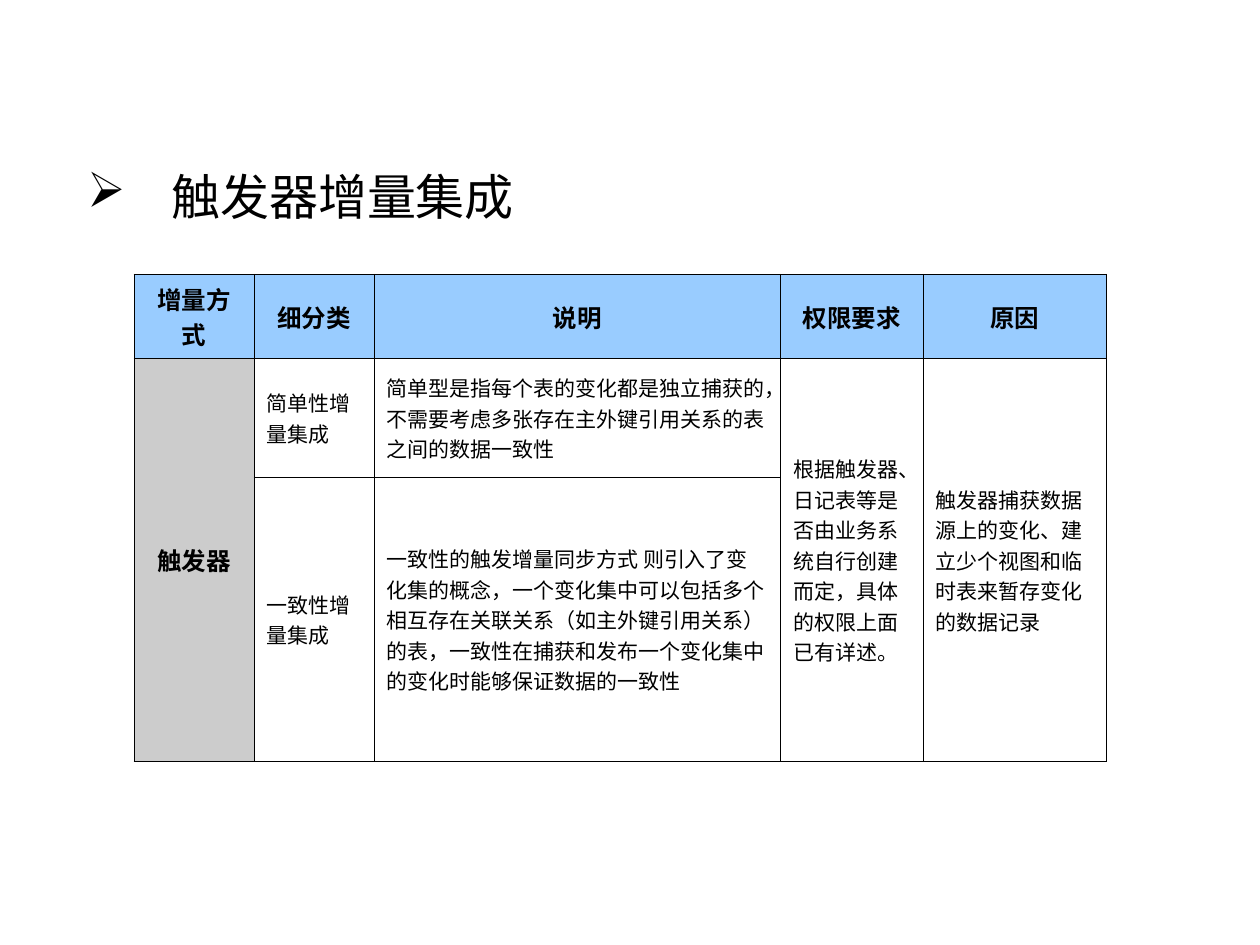
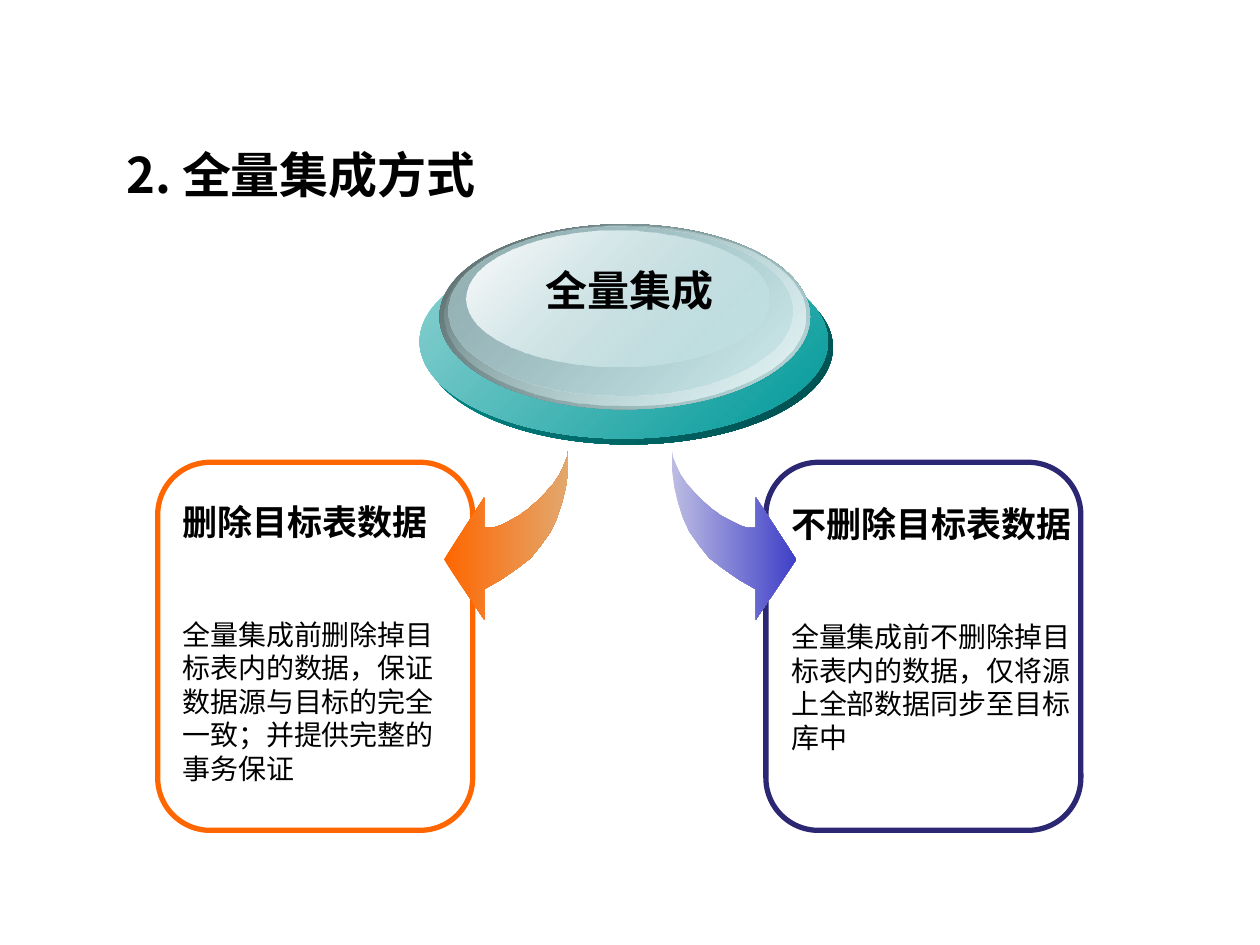
"""Build two slides on trigger-based incremental and full data integration."""
from lxml.etree import SubElement
from pptx import Presentation
from pptx.dml.color import RGBColor
from pptx.enum.shapes import MSO_SHAPE as Shape
from pptx.enum.text import MSO_ANCHOR as Anchor, PP_ALIGN as Align
from pptx.oxml.ns import qn
from pptx.util import Cm, Pt

BLACK = RGBColor(0x00, 0x00, 0x00)
WHITE = RGBColor(0xFF, 0xFF, 0xFF)
HEADER_BLUE = RGBColor(0x99, 0xCC, 0xFF)
METHOD_GRAY = RGBColor(0xCC, 0xCC, 0xCC)
ORANGE = RGBColor(0xFF, 0x66, 0x00)
SAND = RGBColor(0xE2, 0xA8, 0x6E)
NAVY = RGBColor(0x2B, 0x27, 0x73)
BLUE = RGBColor(0x40, 0x40, 0xC8)
LAVENDER = RGBColor(0xBC, 0xBC, 0xE2)
TEAL = RGBColor(0x00, 0x99, 0x99)
DARK_TEAL = RGBColor(0x00, 0x4A, 0x4A)
LIGHT_TEAL = RGBColor(0x8E, 0xD2, 0xD2)
SLATE = RGBColor(0x57, 0x68, 0x69)
MIST = RGBColor(0xBB, 0xE0, 0xE3)
PALE_MIST = RGBColor(0xE7, 0xF4, 0xF5)
GRAY_MIST = RGBColor(0x94, 0xB1, 0xB4)

CJK_FONT = "Noto Sans CJK SC"
TITLE_ONLY = 5
DIAGONAL = 315

COLUMN_WIDTHS = (2.42, 2.42, 8.2, 2.87, 3.7)
ROW_HEIGHTS = (1.68, 2.4, 5.73)
TRIGGER_ROWS = (
    ("增量方式", "细分类", "说明", "权限要求", "原因"),
    (
        "触发器",
        "简单性增量集成",
        "简单型是指每个表的变化都是独立捕获的，不需要考虑多张存在主外键引用关系的表之间的数据一致性",
        "根据触发器、日记表等是否由业务系统自行创建而定，具体的权限上面已有详述。",
        "触发器捕获数据源上的变化、建立少个视图和临时表来暂存变化的数据记录",
    ),
    (
        "",
        "一致性增量集成",
        "一致性的触发增量同步方式 则引入了变化集的概念，一个变化集中可以包括多个"
        "相互存在关联关系（如主外键引用关系）的表，一致性在捕获和发布一个变化集中"
        "的变化时能够保证数据的一致性",
        "",
        "",
    ),
)
SPANNING_COLUMNS = (0, 3, 4)

DISC_LAYERS = (
    ((8.56, 5.05, 8.23, 3.91), (TEAL, 100), (DARK_TEAL, 100)),
    ((8.46, 4.93, 8.23, 3.91), (LIGHT_TEAL, 100), (TEAL, 100)),
    ((8.86, 4.52, 7.47, 3.73), (SLATE, 100), (MIST, 100)),
    ((8.97, 4.55, 7.26, 3.63), (MIST, 0), (PALE_MIST, 100)),
    ((9.04, 4.57, 6.93, 3.4), (GRAY_MIST, 100), (MIST, 48)),
    ((9.4, 4.65, 6.1, 2.74), (WHITE, 100), (MIST, 38)),
)

ARROW_OUTLINE = (
    (0, 0.38), (0.05, 0.76), (0.13, 1.09), (0.23, 1.4), (0.36, 1.68),
    (0.56, 1.96), (0.76, 2.21), (1.02, 2.41), (1.35, 2.64), (1.7, 2.84),
    (1.7, 3.45), (2.51, 2.24), (1.7, 0.99), (1.7, 1.6), (1.52, 1.6),
    (1.37, 1.55), (1.17, 1.45), (0.99, 1.35), (0.81, 1.22), (0.64, 1.07),
    (0.46, 0.89), (0.3, 0.71), (0.18, 0.53), (0.1, 0.36), (0.03, 0.18),
)


def cm_box(box):
    """Convert left, top, width and height to lengths."""
    return [Cm(value) for value in box]


def add_run(paragraph, text, size, font="Arial", bold=False):
    """Append one black run to a paragraph."""
    run = paragraph.add_run()
    run.text = text
    run.font.size = Pt(size)
    run.font.bold = bold
    run.font.name = font
    run.font.color.rgb = BLACK
    SubElement(run.font._element, qn("a:ea"), typeface=CJK_FONT)


def place_title(slide, box, anchor):
    """Position the title placeholder and return its paragraph."""
    title = slide.shapes.title
    title.left, title.top, title.width, title.height = cm_box(box)
    title.text_frame.word_wrap = True
    title.text_frame.vertical_anchor = anchor
    paragraph = title.text_frame.paragraphs[0]
    paragraph.alignment = Align.LEFT
    return paragraph


def add_arrow_bullet(paragraph):
    """Give a paragraph a hanging arrow bullet."""
    properties = paragraph._p.get_or_add_pPr()
    properties.set("marL", str(Cm(1.7)))
    properties.set("indent", str(Cm(-1.7)))
    color = SubElement(properties, qn("a:buClr"))
    SubElement(color, qn("a:srgbClr"), val=str(BLACK))
    SubElement(properties, qn("a:buChar"), char="➢")


def border_cell(cell):
    """Draw thin black lines on all four sides of a cell."""
    properties = cell._tc.get_or_add_tcPr()
    for position, side in enumerate(("lnL", "lnR", "lnT", "lnB")):
        line = SubElement(properties, qn(f"a:{side}"), w=str(Pt(0.45)))
        fill = SubElement(line, qn("a:solidFill"))
        SubElement(fill, qn("a:srgbClr"), val=str(BLACK))
        properties.insert(position, line)


def fill_cell(cell, text, color, heading):
    """Write and format one table cell."""
    cell.vertical_anchor = Anchor.MIDDLE
    if color:
        cell.fill.solid()
        cell.fill.fore_color.rgb = color
    else:
        cell.fill.background()
    border_cell(cell)
    if text:
        paragraph = cell.text_frame.paragraphs[0]
        paragraph.alignment = Align.CENTER if heading else Align.LEFT
        add_run(paragraph, text, 14 if heading else 12, "Times New Roman", heading)


def add_trigger_table(slide):
    """Add the table that compares trigger integration types."""
    box = (2.7, 5.53, sum(COLUMN_WIDTHS), sum(ROW_HEIGHTS))
    table = slide.shapes.add_table(
        len(ROW_HEIGHTS), len(COLUMN_WIDTHS), *cm_box(box)).table
    table.first_row = table.horz_banding = False
    for column, width in zip(table.columns, COLUMN_WIDTHS):
        column.width = Cm(width)
    for row, height in zip(table.rows, ROW_HEIGHTS):
        row.height = Cm(height)
    for r, texts in enumerate(TRIGGER_ROWS):
        for c, text in enumerate(texts):
            color = HEADER_BLUE if r == 0 else METHOD_GRAY if c == 0 else None
            fill_cell(table.cell(r, c), text, color, color is not None)
    for c in SPANNING_COLUMNS:
        table.cell(1, c).merge(table.cell(2, c))


def fill_gradient(shape, stops, angle):
    """Fill a shape with two (colour, opacity percent) stops and no outline."""
    shape.shadow.inherit = False
    shape.line.fill.background()
    shape.fill.gradient()
    shape.fill.gradient_angle = angle
    for stop, (color, _) in zip(shape.fill.gradient_stops, stops):
        stop.color.rgb = color
    colors = shape._element.spPr.find(qn("a:gradFill")).iter(qn("a:srgbClr"))
    for element, (_, opacity) in zip(list(colors), stops):
        if opacity < 100:
            SubElement(element, qn("a:alpha"), val=str(opacity * 1000))


def add_disc(slide):
    """Stack the ellipses of the glossy disc."""
    for box, *stops in DISC_LAYERS:
        layer = slide.shapes.add_shape(Shape.OVAL, *cm_box(box))
        fill_gradient(layer, stops, DIAGONAL)


def add_curved_arrow(slide, left, direction, start_color, end_color):
    """Draw a curved arrow that bends left (-1) or right (1)."""
    top = 9.04
    outline = slide.shapes.build_freeform(Cm(left), Cm(top))
    outline.add_line_segments(
        [(Cm(left + direction * x), Cm(top + y)) for x, y in ARROW_OUTLINE])
    arrow = outline.convert_to_shape()
    fill_gradient(arrow, ((start_color, 100), (end_color, 100)), 0)


def add_frame(slide, left, color):
    """Add a rounded outline."""
    frame = slide.shapes.add_shape(
        Shape.ROUNDED_RECTANGLE, *cm_box((left, 9.32, 6.35, 7.42)))
    frame.shadow.inherit = False
    frame.fill.background()
    frame.line.color.rgb = color
    frame.line.width = Pt(3)


def add_text(slide, box, lines, alignment=Align.LEFT):
    """Add a text box of (text, size, bold, space before) paragraphs."""
    frame = slide.shapes.add_textbox(*cm_box(box)).text_frame
    frame.word_wrap = True
    frame.margin_top = Cm(0.2)
    for index, (text, size, bold, gap) in enumerate(lines):
        paragraph = frame.add_paragraph() if index else frame.paragraphs[0]
        paragraph.alignment = alignment
        paragraph.line_spacing = Pt(size * 1.2)
        paragraph.space_before = Pt(gap)
        add_run(paragraph, text, size, bold=bold)


def add_option(slide, box, heading, detail):
    """Add the heading and explanation of one integration option."""
    add_text(slide, box, ((heading, 20, True, 0), (detail, 16, False, 43)))


def build_trigger_slide(slide):
    """Build the slide on trigger-based incremental integration."""
    title = place_title(slide, (1.5, 2.45, 17.8, 2.8), Anchor.TOP)
    title.line_spacing = 1.65
    title.space_before = Pt(8)
    add_arrow_bullet(title)
    add_run(title, "触发器增量集成", 28)
    add_trigger_table(slide)


def build_full_slide(slide):
    """Build the slide on full integration."""
    title = place_title(slide, (2.29, 2.72, 20.52, 1.57), Anchor.MIDDLE)
    add_run(title, "2. 全量集成方式", 28, CJK_FONT, True)
    add_frame(slide, 15.44, NAVY)
    add_frame(slide, 3.18, ORANGE)
    add_option(slide, (3.43, 9.88, 5.66, 6.71), "删除目标表数据",
               "全量集成前删除掉目标表内的数据，保证数据源与目标的完全一致；并提供完整的事务保证")
    add_curved_arrow(slide, 11.46, -1, ORANGE, SAND)
    add_curved_arrow(slide, 13.54, 1, LAVENDER, BLUE)
    add_disc(slide)
    add_text(slide, (10.69, 5.13, 3.99, 1.27),
             (("全量集成", 24, True, 0),), Align.CENTER)
    add_option(slide, (15.7, 9.93, 6.43, 6.71), "不删除目标表数据",
               "全量集成前不删除掉目标表内的数据，仅将源上全部数据同步至目标库中")


def main():
    """Create and save the presentation."""
    deck = Presentation()
    deck.slide_width, deck.slide_height = Cm(25.4), Cm(19.05)
    for build in (build_trigger_slide, build_full_slide):
        build(deck.slides.add_slide(deck.slide_layouts[TITLE_ONLY]))
    deck.save("out.pptx")


if __name__ == "__main__":
    main()
